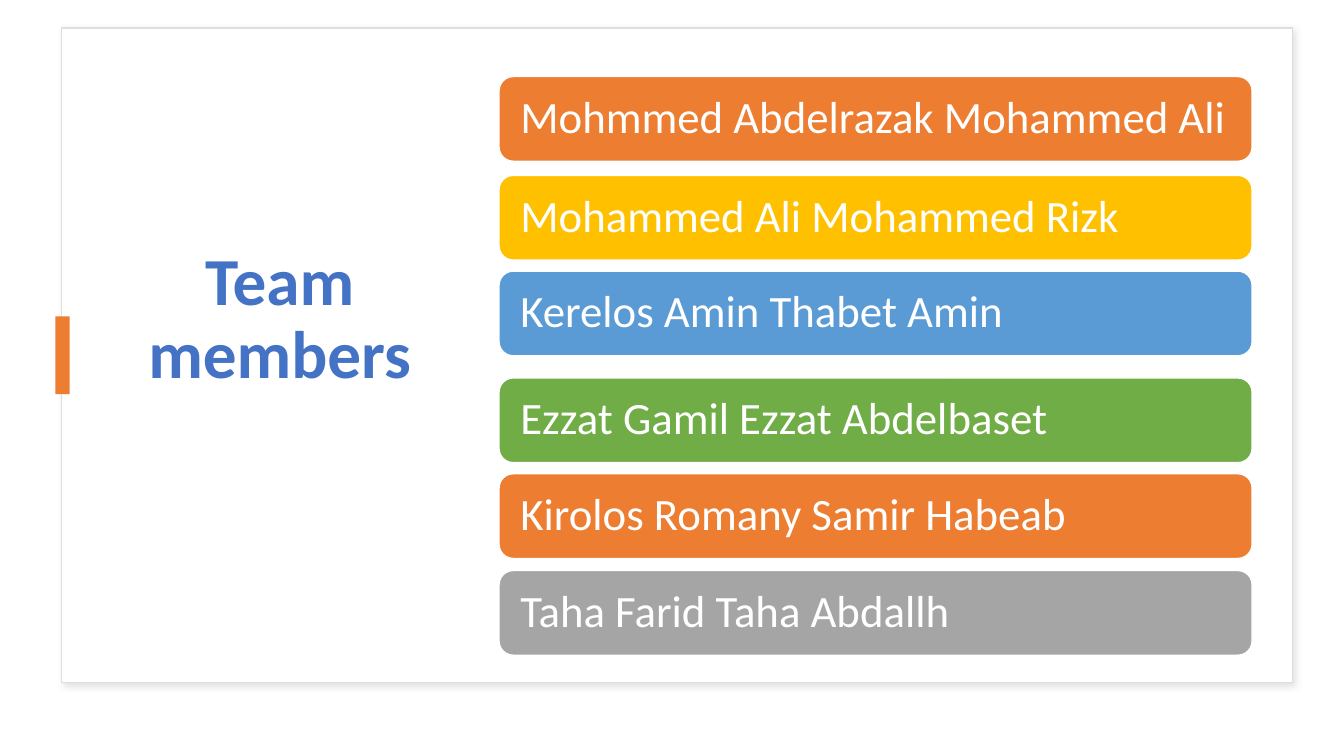
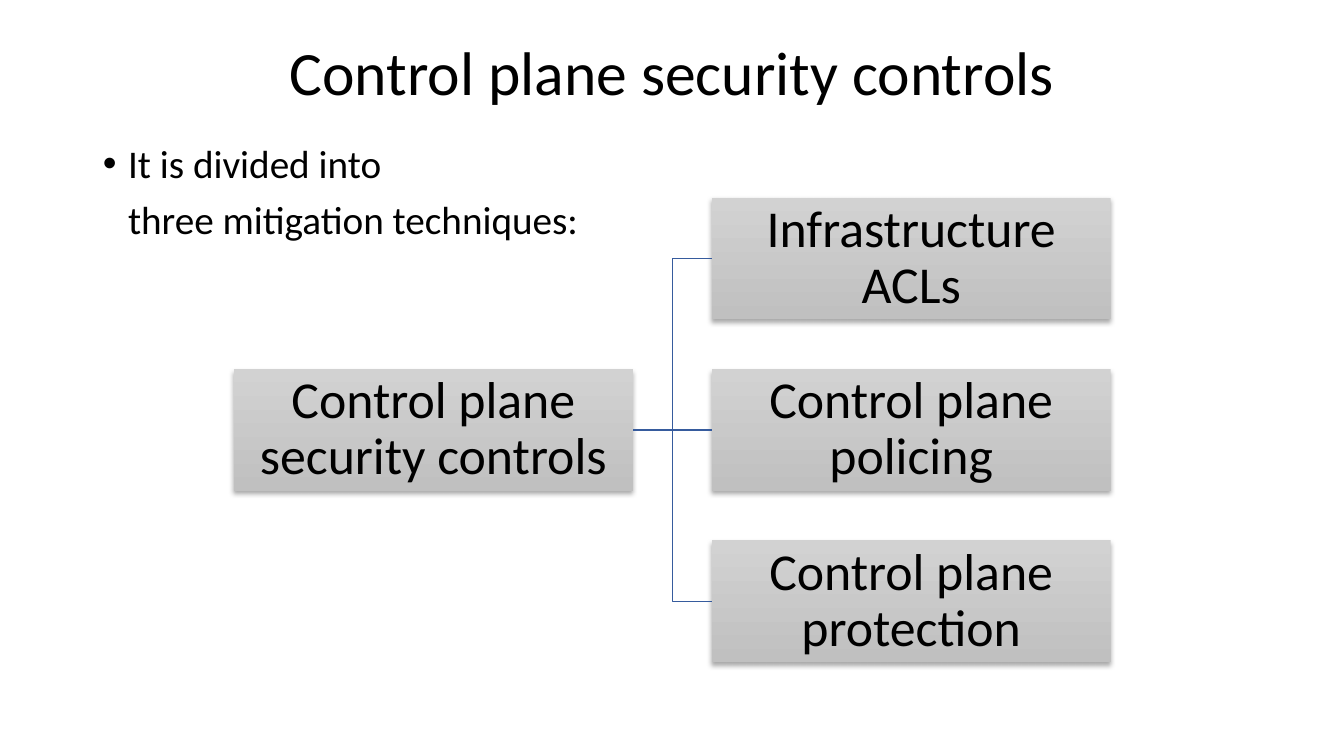
from dataclasses import dataclass

from pptx import Presentation
from pptx import util as u
from pptx.dml.color import RGBColor
from pptx.enum import shapes, text
from pptx.oxml import parse_xml
from pptx.oxml.ns import nsdecls, qn

WIDE, HIGH = u.Inches(13.33), u.Inches(7.5)
FONT = "Calibri"
HUES = {
    "white": "FFFFFF", "black": "000000", "edge": "DEDEDE", "haze": "C5C3C3",
    "blue": "4472C4", "orange": "ED7D31", "gold": "FFC000", "sky": "5B9BD5",
    "green": "70AD47", "gray": "A5A5A5", "link": "365B9D",
    "light": "D2D2D2", "dark": "C0C0C0",
}
RECT = shapes.MSO_SHAPE.RECTANGLE
ROUND = shapes.MSO_SHAPE.ROUNDED_RECTANGLE
LEFT, MID = text.PP_ALIGN.LEFT, text.PP_ALIGN.CENTER


@dataclass(frozen=True)
class Box:
    """Place and size as percent shares of the slide."""
    x: float
    y: float
    w: float
    h: float

    def rect(self) -> tuple:
        return (int(WIDE * self.x / 100), int(HIGH * self.y / 100),
                int(WIDE * self.w / 100), int(HIGH * self.h / 100))


@dataclass(frozen=True)
class Shade:
    hue: str
    alpha: int
    blur: float
    dist: float
    angle: int


@dataclass(frozen=True)
class Member:
    name: str
    hue: str
    top: float


@dataclass(frozen=True)
class Node:
    label: str
    col: int
    row: int


TEAM = [
    Member("Mohmmed Abdelrazak Mohammed Ali", "orange", 10.13),
    Member("Mohammed Ali Mohammed Rizk", "gold", 23.2),
    Member("Kerelos Amin Thabet Amin", "sky", 35.87),
    Member("Ezzat Gamil Ezzat Abdelbaset", "green", 50),
    Member("Kirolos Romany Samir Habeab", "orange", 62.67),
    Member("Taha Farid Taha Abdallh", "gray", 75.47),
]
ROOT = Node("Control plane security controls", 0, 1)
LEAVES = [
    Node("Infrastructure ACLs", 1, 0),
    Node("Control plane policing", 1, 1),
    Node("Control plane protection", 1, 2),
]
CARD = Shade("haze", 50, 4, 3, 45)
DROP = Shade("black", 32, 3.5, 2.2, 90)


def tint(name: str) -> RGBColor:
    return RGBColor.from_string(HUES[name])


def cast(shape, shade: Shade | None = None) -> None:
    glow = ""
    if shade:
        glow = (f'<a:outerShdw blurRad="{u.Pt(shade.blur)}" dist="{u.Pt(shade.dist)}" '
                f'dir="{shade.angle * 60000}" algn="ctr" rotWithShape="0">'
                f'<a:srgbClr val="{HUES[shade.hue]}"><a:alpha val="{shade.alpha * 1000}"/>'
                '</a:srgbClr></a:outerShdw>')
    part = parse_xml(f'<a:effectLst {nsdecls("a")}>{glow}</a:effectLst>')
    shape.element.spPr.append(part)


def style(para, size: float, hue: str, align=LEFT, bold: bool = False) -> None:
    para.alignment = align
    para.line_spacing = 0.9
    para.space_before = u.Pt(0)
    for run in para.runs:
        font = run.font
        font.name, font.size, font.bold = FONT, u.Pt(size), bold
        font.color.rgb = tint(hue)


def block(slide, box: Box, kind=RECT, fill: str = "", line: str = "",
          shade: Shade | None = None):
    shape = slide.shapes.add_shape(kind, *box.rect())
    if fill:
        shape.fill.solid()
        shape.fill.fore_color.rgb = tint(fill)
    else:
        shape.fill.gradient()
        shape.fill.gradient_angle = 270
        for stop, hue in zip(shape.fill.gradient_stops, ("light", "dark")):
            stop.color.rgb = tint(hue)
    if line:
        shape.line.color.rgb = tint(line)
        shape.line.width = u.Pt(1)
    else:
        shape.line.fill.background()
    cast(shape, shade)
    return shape


def label(shape, words: str, size: float, hue: str, align=LEFT, pad: float = 0.03) -> None:
    frame = shape.text_frame
    frame.text = words
    frame.word_wrap = True
    frame.vertical_anchor = text.MSO_ANCHOR.MIDDLE
    frame.margin_left = frame.margin_right = u.Inches(pad)
    frame.margin_top = frame.margin_bottom = u.Inches(0.03)
    style(frame.paragraphs[0], size, hue, align)


def place(holder, box: Box):
    holder.left, holder.top, holder.width, holder.height = box.rect()
    frame = holder.text_frame
    frame.word_wrap = True
    frame.auto_size = text.MSO_AUTO_SIZE.NONE
    return frame


def head(slide, box: Box, words: str, size: float, hue: str, bold: bool = False):
    frame = place(slide.shapes.title, box)
    frame.text = words
    frame.vertical_anchor = text.MSO_ANCHOR.MIDDLE
    style(frame.paragraphs[0], size, hue, MID, bold)
    return frame


def team(deck) -> None:
    slide = deck.slides.add_slide(deck.slide_layouts[5])
    card = block(slide, Box(4.58, 3.73, 91.58, 86.53), fill="white", line="edge", shade=CARD)
    slide.shapes.element.insert(2, card.element)
    frame = head(slide, Box(8.55, 7.33, 24.53, 79.33), "Team members", 48, "blue", True)
    frame.margin_bottom = int(HIGH * 0.1)
    block(slide, Box(4.13, 41.87, 1.05, 10.27), fill="orange")
    for one in TEAM:
        bar = block(slide, Box(37.13, one.top, 56.03, 11.2), ROUND, one.hue, "white")
        label(bar, one.name, 32, "white", pad=0.17)


def node(slide, item: Node):
    box = Box(17.4 + 35.55 * item.col, 26.13 + 22.67 * item.row, 29.7, 16.13)
    shape = block(slide, box, shade=DROP)
    label(shape, item.label, 37, "black", MID)
    return shape


def link(slide, start, end) -> None:
    kinds = shapes.MSO_CONNECTOR
    kind = kinds.STRAIGHT if start.top == end.top else kinds.ELBOW
    line = slide.shapes.add_connector(kind, 0, 0, 0, 0)
    line.begin_connect(start, 3)
    line.end_connect(end, 1)
    line.line.color.rgb = tint("link")
    line.line.width = u.Pt(1)
    cast(line)


def plane(deck) -> None:
    slide = deck.slides.add_slide(deck.slide_layouts[1])
    head(slide, Box(6.9, 3.6, 86.25, 12.67), "Control plane security controls", 44, "black")
    frame = place(slide.placeholders[1], Box(6.9, 18.4, 86.25, 71.07))
    frame.text = "It is divided into\nthree mitigation techniques:"
    first, last = frame.paragraphs
    for para, dent in ((first, -0.25), (last, 0)):
        props = para._p.get_or_add_pPr()
        props.set("marL", str(u.Inches(0.25)))
        props.set("indent", str(u.Inches(dent)))
        if para is last:
            props.append(props.makeelement(qn("a:buNone"), {}))
        style(para, 28, "black")
    last.space_before = u.Pt(10)
    root = node(slide, ROOT)
    for leaf in LEAVES:
        link(slide, root, node(slide, leaf))


def main() -> None:
    deck = Presentation()
    deck.slide_width, deck.slide_height = WIDE, HIGH
    team(deck)
    plane(deck)
    deck.save("out.pptx")


if __name__ == "__main__":
    main()
